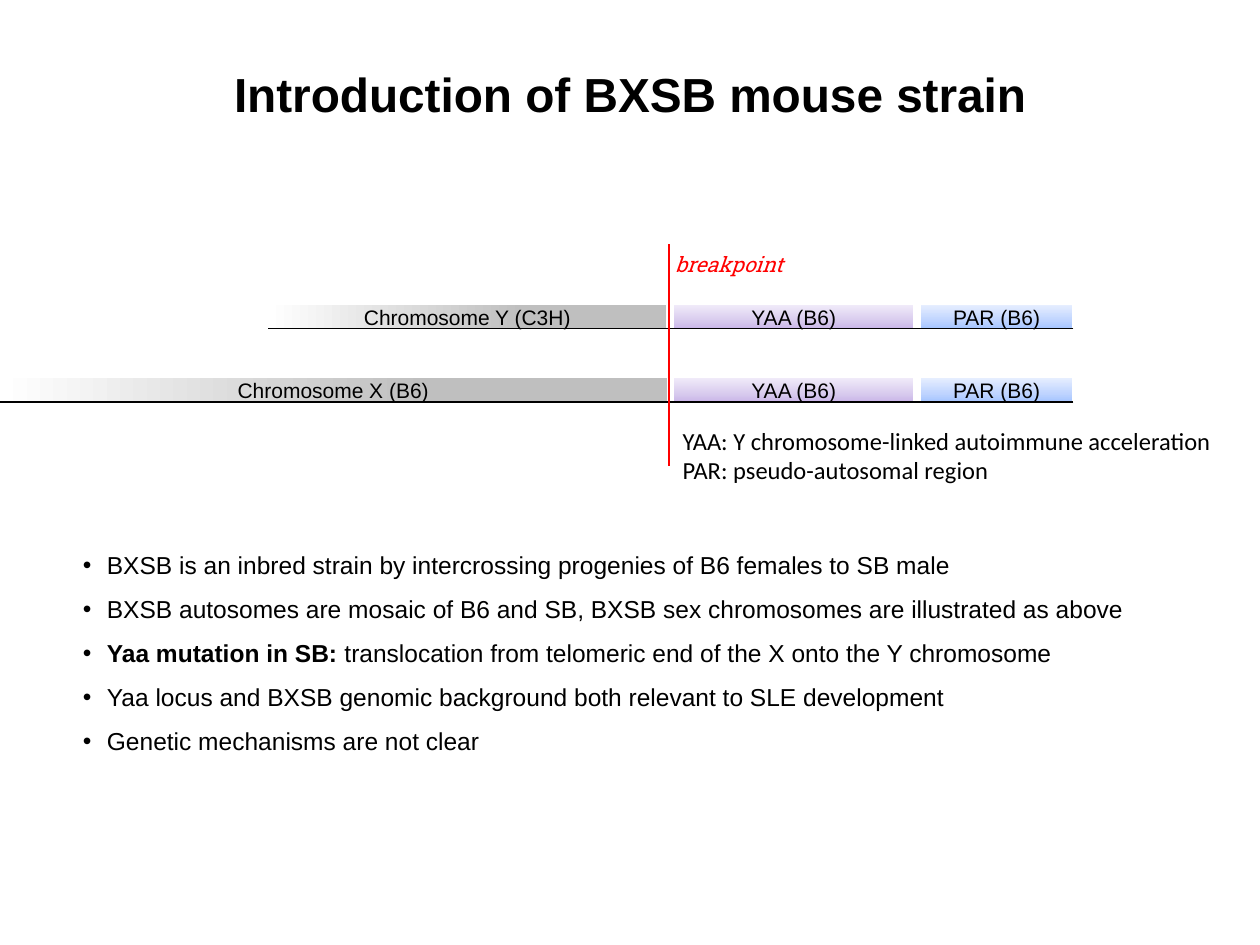
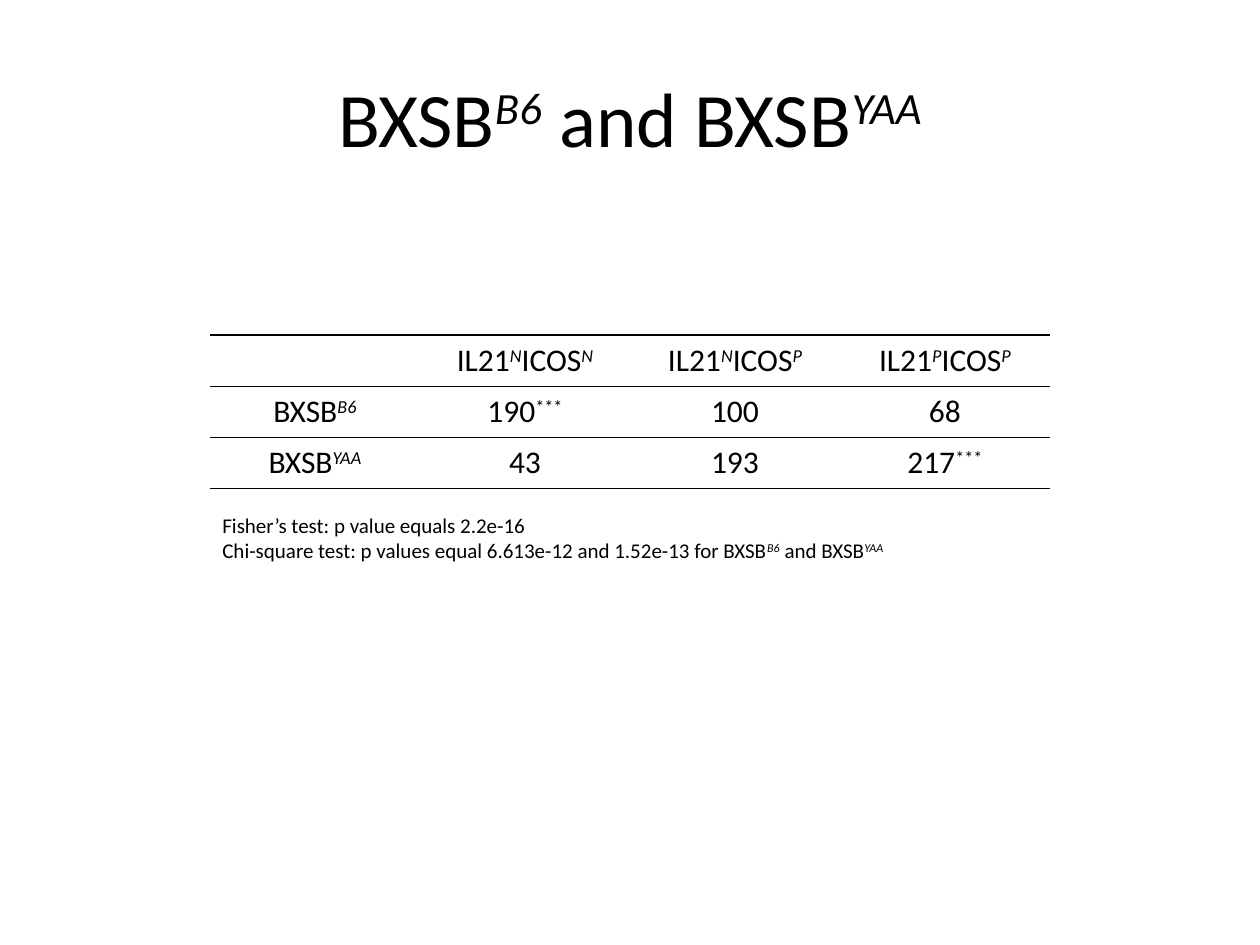
from dataclasses import dataclass
from typing import NamedTuple

from pptx import Presentation
from pptx.dml.color import RGBColor
from pptx.enum.shapes import MSO_CONNECTOR, MSO_SHAPE
from pptx.enum.text import MSO_ANCHOR, PP_ALIGN
from pptx.oxml import parse_xml
from pptx.oxml.ns import nsdecls, qn
from pptx.util import Inches, Pt

RECTANGLE = MSO_SHAPE.RECTANGLE
STRAIGHT = MSO_CONNECTOR.STRAIGHT
CENTER, LEFT = PP_ALIGN.CENTER, PP_ALIGN.LEFT
MIDDLE, TOP = MSO_ANCHOR.MIDDLE, MSO_ANCHOR.TOP

# The slide is a grid of 10 columns by 7.5 rows of square cells.
COLUMNS, ROWS = 10, 7.5
CELL = Inches(1)

BLACK, RED = "000000", "FF0000"
SANS, BODY, SERIF = "Arial", "Calibri", "Roboto Slab"
SUPERSCRIPT = "30000"
BULLET_INDENT = 0.19

# Chromosome map
BAR_HEIGHT = 0.19
BAR_GAP = 0.06
CHROMOSOME_END = 5.29
YAA_WIDTH, PAR_WIDTH = 1.9, 1.2
MAP_END = 8.52
BREAKPOINT_X = 5.31


class Area(NamedTuple):
    left: float
    top: float
    width: float
    height: float


class Span(NamedTuple):
    text: str
    bold: bool = False
    italic: bool = False
    raised: bool = False


class Gradient(NamedTuple):
    stops: tuple[tuple[int, str], ...]
    angle: int


@dataclass(frozen=True)
class TextStyle:
    font: str
    size: float
    color: str = BLACK
    bold: bool = False
    italic: bool = False
    align: PP_ALIGN = LEFT
    anchor: MSO_ANCHOR = TOP
    wrap: bool = True
    bullet: bool = False
    line_spacing: float | None = None


@dataclass(frozen=True)
class Chromosome:
    label: str
    start: float
    top: float


GREY = Gradient(((0, "FFFFFF"), (64, "BFBFBF")), 0)
PURPLE = Gradient(((0, "C9B5E8"), (35, "D8CBEE"), (100, "F0EAF9")), 90)
BLUE = Gradient(((0, "A4C4FF"), (35, "BFD4FF"), (100, "E6EEFF")), 90)

INTRO_TITLE = TextStyle(SANS, 27.3, bold=True, align=CENTER, anchor=MIDDLE)
COUNT_TITLE = TextStyle(BODY, 44, align=CENTER, anchor=MIDDLE)
BAR_LABEL = TextStyle(SANS, 12, align=CENTER, anchor=MIDDLE)
BREAKPOINT = TextStyle(SERIF, 12, RED, italic=True, wrap=False)
LEGEND = TextStyle(BODY, 14, wrap=False)
BULLETS = TextStyle(SANS, 14, bullet=True, line_spacing=1.5)
TABLE_TEXT = TextStyle(BODY, 18, align=CENTER)
TEST_NOTE = TextStyle(BODY, 12)

CHROMOSOMES = (
    Chromosome("Chromosome Y (C3H)", 2.13, 2.42),
    Chromosome("Chromosome X (B6)", 0, 3),
)
FACTS = (
    "BXSB is an inbred strain by intercrossing progenies of B6 females to SB male",
    "BXSB autosomes are mosaic of B6 and SB, BXSB sex chromosomes are illustrated as above",
    (
        Span("Yaa mutation in SB: ", bold=True),
        Span("translocation from telomeric end of the X onto the Y chromosome"),
    ),
    "Yaa locus and BXSB genomic background both relevant to SLE development",
    "Genetic mechanisms are not clear",
)
COUNTS = (
    ("", "IL21^N^ICOS^N^", "IL21^N^ICOS^P^", "IL21^P^ICOS^P^"),
    ("BXSB^B6^", "190^***^", "100", "68"),
    ("BXSB^YAA^", "43", "193", "217^***^"),
)
RULE_WIDTHS = (1, 1, 0.5, 1)


def color_of(code: str) -> RGBColor:
    return RGBColor.from_string(code)


def cells(*lengths: float) -> list[int]:
    return [round(length * CELL) for length in lengths]


def spans_of(text: str) -> list[Span]:
    """Split text at carets; every second piece is raised, and italic if it is letters."""
    return [
        Span(piece, italic=index % 2 == 1 and piece.isalnum(), raised=index % 2 == 1)
        for index, piece in enumerate(text.split("^"))
        if piece
    ]


def add_bullet(para) -> None:
    props = para._p.get_or_add_pPr()
    indent = Inches(BULLET_INDENT)
    props.set("marL", str(indent))
    props.set("indent", str(-indent))
    props.append(parse_xml(f'<a:buFont {nsdecls("a")} typeface="Arial"/>'))
    props.append(parse_xml(f'<a:buChar {nsdecls("a")} char="•"/>'))


def write_text(frame, lines, style: TextStyle) -> None:
    for index, line in enumerate(lines):
        para = frame.paragraphs[0] if index == 0 else frame.add_paragraph()
        if style.bullet:
            add_bullet(para)
        para.alignment = style.align
        para.line_spacing = style.line_spacing
        for span in spans_of(line) if isinstance(line, str) else line:
            run = para.add_run()
            run.text = span.text
            formats = {
                "name": style.font,
                "size": Pt(style.size),
                "bold": style.bold or span.bold,
                "italic": style.italic or span.italic,
            }
            for name, value in formats.items():
                setattr(run.font, name, value)
            run.font.color.rgb = color_of(style.color)
            if span.raised:
                run._r.get_or_add_rPr().set("baseline", SUPERSCRIPT)


def add_text(page, area: Area, lines, style: TextStyle) -> None:
    frame = page.shapes.add_textbox(*cells(*area)).text_frame
    frame.word_wrap = style.wrap
    frame.vertical_anchor = style.anchor
    write_text(frame, lines, style)


def add_line(page, start: tuple, end: tuple, color: str, width: float) -> None:
    line = page.shapes.add_connector(STRAIGHT, *cells(*start, *end))
    line.line.color.rgb = color_of(color)
    line.line.width = Pt(width)
    line._element.spPr.append(parse_xml(f'<a:effectLst {nsdecls("a")}/>'))


def fill_gradient(shape, gradient: Gradient) -> None:
    shape.fill.gradient()
    shape.fill.gradient_angle = gradient.angle
    stop_list = shape._element.spPr.find(qn("a:gradFill")).find(qn("a:gsLst"))
    for stop in list(stop_list):
        stop_list.remove(stop)
    for percent, color in gradient.stops:
        stop_list.append(parse_xml(
            f'<a:gs {nsdecls("a")} pos="{percent * 1000}"><a:srgbClr val="{color}"/></a:gs>'
        ))


def add_bar(page, area: Area, label: str, gradient: Gradient) -> None:
    bar = page.shapes.add_shape(RECTANGLE, *cells(*area))
    bar.shadow.inherit = False
    bar.line.fill.background()
    fill_gradient(bar, gradient)
    frame = bar.text_frame
    for side in ("left", "top", "right", "bottom"):
        setattr(frame, f"margin_{side}", 0)
    frame.vertical_anchor = BAR_LABEL.anchor
    write_text(frame, [label], BAR_LABEL)


def add_chromosome(page, chromosome: Chromosome) -> None:
    left = chromosome.start
    segments = (
        (chromosome.label, CHROMOSOME_END - left, GREY),
        ("YAA (B6)", YAA_WIDTH, PURPLE),
        ("PAR (B6)", PAR_WIDTH, BLUE),
    )
    for label, width, gradient in segments:
        add_bar(page, Area(left, chromosome.top, width, BAR_HEIGHT), label, gradient)
        left += width + BAR_GAP
    base = chromosome.top + BAR_HEIGHT
    add_line(page, (MAP_END, base), (chromosome.start, base), BLACK, 0.75)


def set_borders(cell, top: float, bottom: float) -> None:
    props = cell._tc.get_or_add_tcPr()
    solid = f'<a:solidFill><a:srgbClr val="{BLACK}"/></a:solidFill>'
    for side, width in (("L", 0), ("R", 0), ("T", top), ("B", bottom)):
        paint = solid if width else "<a:noFill/>"
        props.append(parse_xml(
            f'<a:ln{side} {nsdecls("a")} w="{Pt(width)}">{paint}</a:ln{side}>'
        ))


def add_count_table(page, area: Area) -> None:
    table = page.shapes.add_table(len(COUNTS), len(COUNTS[0]), *cells(*area)).table
    table.first_row = table.horz_banding = False
    for row_index, row in enumerate(COUNTS):
        for column_index, text in enumerate(row):
            cell = table.cell(row_index, column_index)
            set_borders(cell, *RULE_WIDTHS[row_index:row_index + 2])
            cell.fill.background()
            write_text(cell.text_frame, [text], TABLE_TEXT)


def build_intro(page) -> None:
    add_text(page, Area(0.5, 0.28, 9, 0.92), ["Introduction of BXSB mouse strain"], INTRO_TITLE)
    add_text(page, Area(0.56, 4.2, 8.99, 1.85), FACTS, BULLETS)
    for chromosome in CHROMOSOMES:
        add_chromosome(page, chromosome)
    add_line(page, (BREAKPOINT_X, 1.94), (BREAKPOINT_X, 3.7), RED, 1)
    add_text(page, Area(5.26, 1.95, 1.11, 0.3), ["breakpoint"], BREAKPOINT)
    add_text(page, Area(5.32, 3.33, 4.43, 0.57), [
        "YAA: Y chromosome-linked autoimmune acceleration",
        "PAR: pseudo-autosomal region",
    ], LEGEND)


def build_counts(page) -> None:
    left = COLUMNS / 6
    add_text(page, Area(0.5, 0.3, 9, 1.25), ["BXSB^B6^ and BXSB^YAA^"], COUNT_TITLE)
    add_count_table(page, Area(left, 2.66, COLUMNS - 2 * left, 1.22))
    add_text(page, Area(left, 4.02, 6.1, 0.5), [
        "Fisher’s test: p value equals 2.2e-16",
        "Chi-square test: p values equal 6.613e-12 and 1.52e-13 for BXSB^B6^ and BXSB^YAA^",
    ], TEST_NOTE)


def main() -> None:
    deck = Presentation()
    deck.slide_width, deck.slide_height = cells(COLUMNS, ROWS)
    blank = deck.slide_layouts[6]
    for build in (build_intro, build_counts):
        build(deck.slides.add_slide(blank))
    deck.save("out.pptx")


if __name__ == "__main__":
    main()
